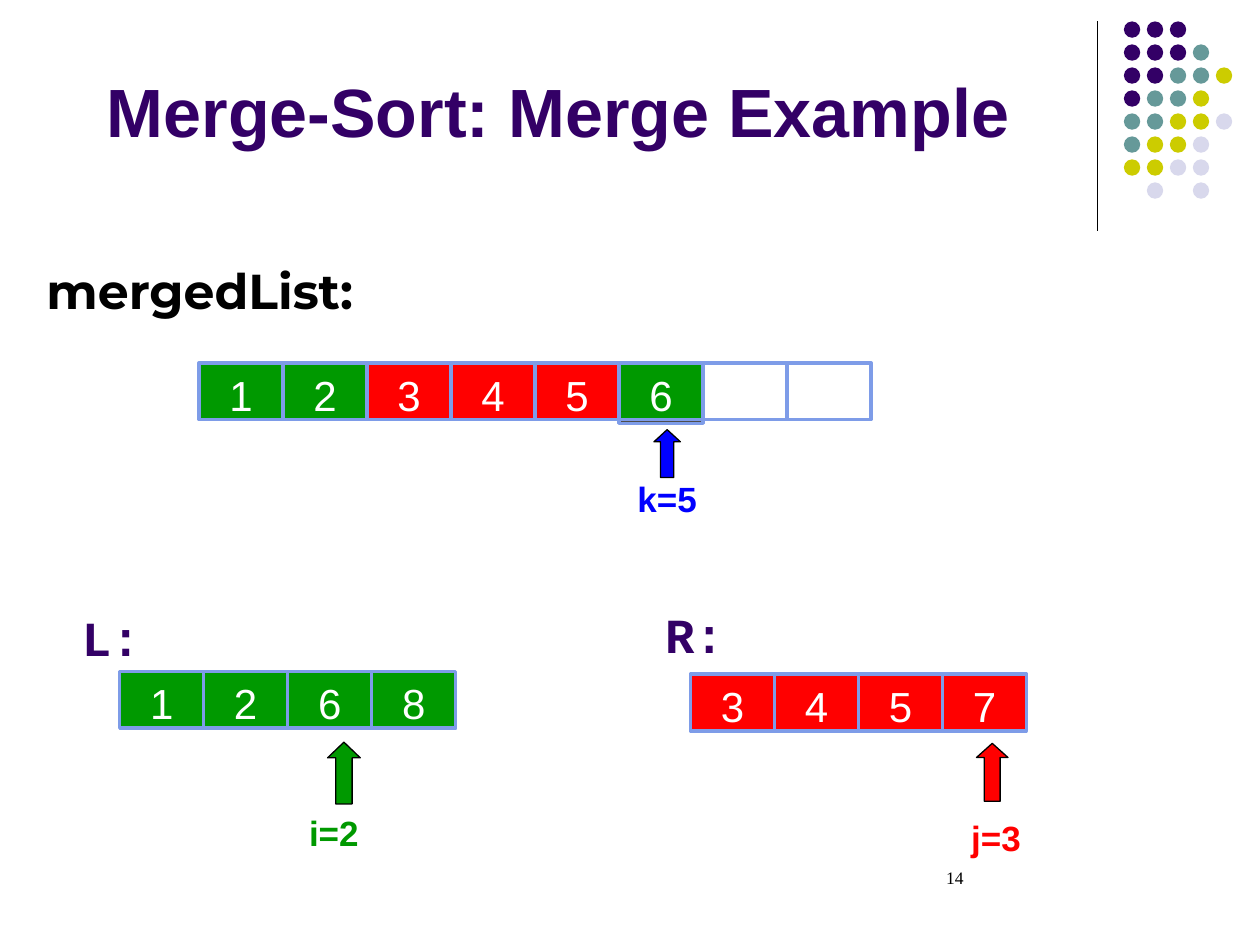
"""Build the merge step slide of the merge-sort example."""
from dataclasses import dataclass

from lxml import etree
from pptx import Presentation
from pptx.dml.color import RGBColor
from pptx.enum.shapes import MSO_CONNECTOR, MSO_SHAPE
from pptx.enum.text import MSO_ANCHOR, PP_ALIGN
from pptx.oxml.ns import qn
from pptx.util import Inches, Pt

STRAIGHT = MSO_CONNECTOR.STRAIGHT
RECTANGLE = MSO_SHAPE.RECTANGLE
ELLIPSE = MSO_SHAPE.OVAL
UP_ARROW = MSO_SHAPE.UP_ARROW
TOP = MSO_ANCHOR.TOP
BOTTOM = MSO_ANCHOR.BOTTOM
LEFT = PP_ALIGN.LEFT
CENTER = PP_ALIGN.CENTER

COLORS = {
    "purple": "330066", "teal": "669999", "olive": "CCCC00", "lavender": "D8D8EC",
    "green": "009900", "red": "FF0000", "blue": "0000FF", "border": "7E9CE8",
    "gray": "4D4D4D", "white": "FFFFFF", "black": "000000",
}
DOT_COLORS = {"P": "purple", "T": "teal", "O": "olive", "L": "lavender"}
DOT_ROWS = ("PPP", "PPPT", "PPTTO", "PTTO", "TTOOL", "TOOL", "OOLL", " L L")
DOT_PITCH = 0.73 / 4
CELL_WIDTH = 2 / 3
CELL_HEIGHT = 0.45


@dataclass(frozen=True)
class Box:
    left: float
    top: float
    width: float
    height: float

    def lengths(self) -> tuple:
        return tuple(Inches(value) for value in (self.left, self.top, self.width, self.height))


@dataclass(frozen=True)
class Cell:
    text: str
    color: str


@dataclass(frozen=True)
class Array:
    left: float
    top: float
    cells: tuple


@dataclass(frozen=True)
class Pointer:
    arrow: Box
    head: float
    label: str
    label_box: Box
    color: str


@dataclass(frozen=True)
class Heading:
    text: str
    box: Box
    font: str
    color: str
    inset: float


def make_cells(values: str, color: str) -> tuple:
    return tuple(Cell(value, color) for value in values)


ARRAYS = (
    Array(1.58, 2.88, make_cells("12", "green") + make_cells("345", "red")
          + (Cell("6", "green"), Cell("", "white"), Cell("", "white"))),
    Array(0.95, 5.33, make_cells("1268", "green")),
    Array(5.48, 5.35, make_cells("3457", "red")),
)
POINTERS = (
    Pointer(Box(2.6, 5.89, 0.26, 0.49), 0.48, "i=2", Box(2.41, 6.39, 0.48, 0.44), "green"),
    Pointer(Box(7.75, 5.9, 0.25, 0.46), 0.45, "j=3", Box(7.53, 6.43, 0.75, 0.44), "red"),
    Pointer(Box(5.19, 3.41, 0.21, 0.38), 0.46, "k=5", Box(4.89, 3.74, 0.81, 0.44), "blue"),
)
HEADINGS = (
    Heading("mergedList:", Box(0.27, 2.02, 3.29, 0.57), "Montserrat", "black", 0.1),
    Heading("L:", Box(0.65, 4.77, 0.47, 0.57), "Courier New", "purple", 0),
    Heading("R:", Box(5.28, 4.75, 0.47, 0.57), "Courier New", "purple", 0),
)


def rgb(color: str) -> RGBColor:
    return RGBColor.from_string(COLORS[color])


def write_text(shape, text: str, *, size: float, color: str, font: str = "Arial",
               bold: bool = False, align=LEFT, anchor=TOP, inset: float = 0.1,
               bottom: float = 0.05, wrap: bool = False) -> None:
    frame = shape.text_frame
    frame.word_wrap = wrap
    frame.vertical_anchor = anchor
    frame.margin_left = frame.margin_right = Inches(inset)
    frame.margin_top, frame.margin_bottom = Inches(0.05), Inches(bottom)
    paragraph = frame.paragraphs[0]
    paragraph.alignment = align
    run = paragraph.add_run()
    run.text = text
    run.font.name, run.font.size, run.font.bold = font, Pt(size), bold
    run.font.color.rgb = rgb(color)


def add_text(slide, text: str, box: Box, **text_format) -> None:
    write_text(slide.shapes.add_textbox(*box.lengths()), text, **text_format)


def add_figure(slide, kind, box: Box, fill: str, line: str = "", line_width: float = 0.75):
    shape = slide.shapes.add_shape(kind, *box.lengths())
    shape.shadow.inherit = False
    shape.fill.solid()
    shape.fill.fore_color.rgb = rgb(fill)
    if line:
        shape.line.color.rgb = rgb(line)
        shape.line.width = Pt(line_width)
    else:
        shape.line.fill.background()
    return shape


def draw_decoration(slide) -> None:
    divider = slide.shapes.add_connector(
        STRAIGHT, Inches(8.71), Inches(0.17), Inches(8.71), Inches(1.83))
    divider.line.color.rgb = rgb("black")
    divider.line.width = Pt(0.75)
    etree.SubElement(divider._element.spPr, qn("a:effectLst"))
    for row, codes in enumerate(DOT_ROWS):
        for column, code in enumerate(codes):
            if code in DOT_COLORS:
                box = Box(8.92 + column * DOT_PITCH, 0.17 + row * DOT_PITCH, 0.13, 0.13)
                add_figure(slide, ELLIPSE, box, DOT_COLORS[code])


def draw_cell(slide, array: Array, index: int) -> None:
    cell = array.cells[index]
    box = Box(array.left + index * CELL_WIDTH, array.top, CELL_WIDTH, CELL_HEIGHT)
    shape = add_figure(slide, RECTANGLE, box, cell.color, "border", 2)
    if cell.text:
        write_text(shape, cell.text, size=24, color="white", align=CENTER, bottom=0, wrap=True)


def draw_pointer(slide, pointer: Pointer) -> None:
    arrow = add_figure(slide, UP_ARROW, pointer.arrow, pointer.color, "black")
    arrow.adjustments[0], arrow.adjustments[1] = 0.5, pointer.head
    add_text(slide, pointer.label, pointer.label_box, size=20, color=pointer.color,
             bold=True, align=CENTER, inset=0)


def main() -> None:
    presentation = Presentation()
    presentation.slide_width, presentation.slide_height = Inches(10), Inches(7.5)
    slide = presentation.slides.add_slide(presentation.slide_layouts[6])
    draw_decoration(slide)
    add_text(slide, "Merge-Sort: Merge Example", Box(0.75, 0, 8.5, 1.25),
             size=39, color="purple", bold=True, anchor=BOTTOM, wrap=True)
    for heading in HEADINGS:
        add_text(slide, heading.text, heading.box, size=28, color=heading.color,
                 font=heading.font, bold=True, inset=heading.inset)
    merged, left_half, right_half = ARRAYS
    current = 5
    for array in (merged, left_half, right_half):
        for index in range(len(array.cells)):
            if array is not merged or index != current:
                draw_cell(slide, array, index)
    current_box = Box(merged.left + current * CELL_WIDTH, merged.top, CELL_WIDTH, 0.48)
    add_figure(slide, RECTANGLE, current_box, "gray", "border", 2)
    draw_cell(slide, merged, current)
    for pointer in POINTERS:
        draw_pointer(slide, pointer)
    add_text(slide, "14", Box(7.17, 6.83, 2.33, 0.5), size=10, color="black",
             font="Times New Roman", inset=0.34, wrap=True)
    presentation.save("out.pptx")


if __name__ == "__main__":
    main()
